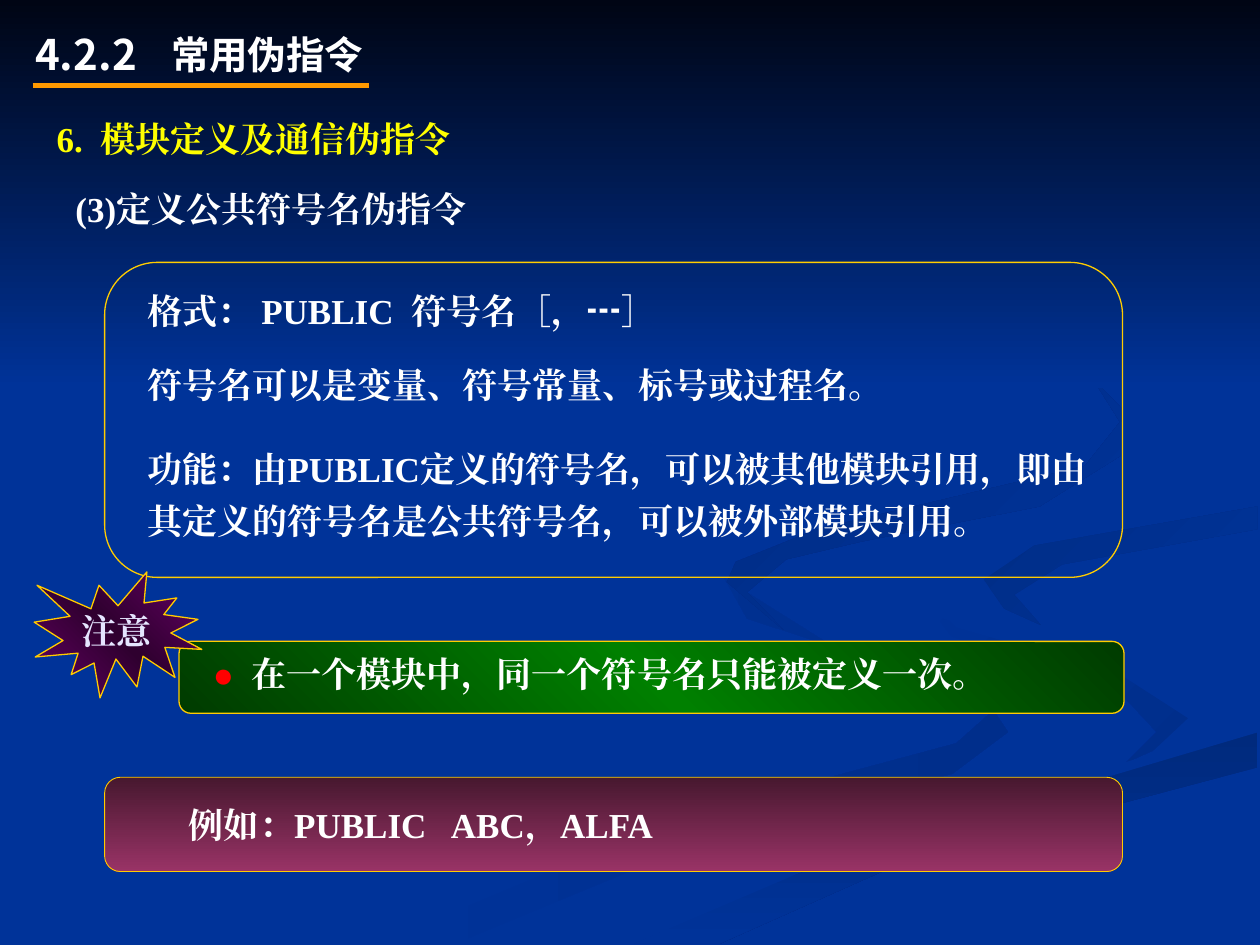
from copy import deepcopy
from dataclasses import dataclass

from lxml.etree import SubElement
from pptx import Presentation
from pptx.dml.color import RGBColor
from pptx.enum.shapes import MSO_CONNECTOR as Connector, MSO_SHAPE as Preset
from pptx.enum.text import MSO_ANCHOR as Anchor, PP_ALIGN as Align
from pptx.oxml.ns import qn
from pptx.util import Cm, Pt

COLORS = {
    "background": "003399", "night": "000514", "orange": "FF9900", "gold": "FFCC00",
    "white": "FFFFFF", "yellow": "FFFF00", "red": "FF0000", "lavender": "E5E5FF",
    "wine": "47182F", "rose": "993366", "forest": "003B00", "green": "008000",
    "purple": "660066", "plum": "2F002F",
    "shade1": "002E8B", "shade2": "002A7D", "shade3": "002D86", "shade4": "002B82",
}
SERIF, SANS = "Times New Roman", "Noto Sans CJK SC"
CURVE_UNIT = Cm(2.54) / 100


@dataclass
class Curve:
    points: list[tuple[int, int]]
    colors: list[str]
    angle: int = 0


@dataclass
class Panel:
    preset: Preset
    box: tuple[float, float, float, float]
    colors: list[str]
    angle: int = 0
    line_width: float = 0.75


@dataclass
class Span:
    text: str
    color: str = "white"


@dataclass
class Line:
    spans: list[Span]
    space_before: float = 0
    spacing: float = 1


@dataclass
class Label:
    box: tuple[float, float, float, float]
    lines: list[Line]
    size: float = 20
    font: str = SERIF
    anchor: Anchor = Anchor.TOP


BACKGROUND_CURVES = [
    Curve([(781, 553), (661, 513), (575, 459), (593, 491), (728, 535), (786, 566),
           (759, 590), (539, 649), (300, 749), (361, 749), (564, 665), (756, 614),
           (800, 581)], ["background", "shade1"]),
    Curve([(943, 570), (888, 535), (745, 490), (724, 464), (755, 505), (892, 553),
           (918, 581), (894, 605), (937, 586)], ["background", "shade1"], 45),
    Curve([(503, 749), (571, 749), (722, 682), (998, 609), (998, 581), (764, 647),
           (599, 706)], ["shade2", "background"], 90),
    Curve([(725, 464), (759, 498), (889, 535), (943, 570), (911, 600), (663, 668),
           (477, 749), (503, 749), (662, 681), (999, 581), (999, 538), (866, 509),
           (781, 463), (822, 434), (999, 402), (999, 387), (770, 427)], ["background"]),
    Curve([(781, 460), (797, 483), (826, 496), (805, 472), (843, 448), (998, 420),
           (998, 402), (821, 433)], ["shade3", "background"], 45),
    Curve([(683, 430), (825, 402), (889, 362), (890, 324), (843, 275), (762, 233),
           (862, 292), (889, 335), (861, 370), (649, 420), (584, 446), (577, 462),
           (622, 500), (593, 470), (624, 444)], ["shade4", "background"], 45),
    Curve([(0, 0), (0, 308), (1000, 308), (1000, 0)], ["night", "background"], 90),
]

PANELS = [
    Panel(Preset.ROUNDED_RECTANGLE, (2.11, 15.67, 20.52, 1.9), ["wine", "rose"], 90, 0.5),
    Panel(Preset.FLOWCHART_ALTERNATE_PROCESS, (2.11, 5.29, 20.52, 6.35), []),
    Panel(Preset.ROUNDED_RECTANGLE, (3.61, 12.93, 19.05, 1.45),
          ["forest", "green", "forest"], 315),
]
NOTICE_BURST = Panel(Preset.EXPLOSION1, (0.69, 11.53, 3.38, 2.54),
                     ["purple", "plum", "purple"], 315)

LABELS = [
    Label((0.46, 0.46, 2.74, 1.27), [Line([Span("4.2.2")])], 24, SANS),
    Label((3.2, 0.46, 5.51, 1.27), [Line([Span("常用伪指令")])], 22, SANS, Anchor.MIDDLE),
    Label((0.89, 2.26, 8.76, 1.07), [Line([Span("6.  模块定义及通信伪指令", "yellow")])],
          anchor=Anchor.MIDDLE),
    Label((1.27, 3.66, 8.97, 1.07), [Line([Span("(3)定义公共符号名伪指令")])],
          anchor=Anchor.MIDDLE),
    Label((2.72, 5.72, 19.74, 5.26), [
        Line([Span("格式： PUBLIC  符号名［，┅］")]),
        Line([Span("符号名可以是变量、符号常量、标号或过程名。")], 18),
        Line([Span("功能：由PUBLIC定义的符号名，可以被其他模块引用，"
                   "即由其定义的符号名是公共符号名，可以被外部模块引用。")], 18, 1.25),
    ]),
    Label((4.04, 13.03, 18.16, 1.12), [
        Line([Span("●  ", "red"), Span("在一个模块中，同一个符号名只能被定义一次。")])]),
    Label((3.56, 16.08, 10.46, 1.12), [Line([Span("例如：PUBLIC   ABC，ALFA")])]),
]


def rgb(name: str) -> RGBColor:
    return RGBColor.from_string(COLORS[name])


def paint(shape, colors: list[str], angle: int) -> None:
    """Fill with nothing, one colour, or an even gradient turned clockwise by angle."""
    shape.shadow.inherit = False
    fill = shape.fill
    if not colors:
        fill.background()
    elif len(colors) == 1:
        fill.solid()
        fill.fore_color.rgb = rgb(colors[0])
    else:
        fill.gradient()
        fill.gradient_angle = (360 - angle) % 360
        stop_list = next(shape._element.spPr.iter(qn("a:gsLst")))
        for _ in colors[2:]:
            stop_list.append(deepcopy(stop_list[0]))
        for index, (stop, color) in enumerate(zip(fill.gradient_stops, colors)):
            stop.color.rgb = rgb(color)
            stop.position = index / (len(colors) - 1)


def add_curve(slide, curve: Curve) -> None:
    builder = slide.shapes.build_freeform(*curve.points[0], scale=CURVE_UNIT)
    builder.add_line_segments(curve.points[1:], close=True)
    shape = builder.convert_to_shape()
    paint(shape, curve.colors, curve.angle)
    shape.line.fill.background()


def add_panel(slide, panel: Panel):
    shape = slide.shapes.add_shape(panel.preset, *map(Cm, panel.box))
    paint(shape, panel.colors, panel.angle)
    shape.line.color.rgb = rgb("gold")
    shape.line.width = Pt(panel.line_width)
    return shape


def add_span(paragraph, span: Span, size: float, font: str) -> None:
    run = paragraph.add_run()
    run.text = span.text
    run.font.size, run.font.bold, run.font.name = Pt(size), True, font
    run.font.color.rgb = rgb(span.color)
    SubElement(run._r.get_or_add_rPr(), qn("a:ea"), typeface=font)


def add_label(slide, label: Label) -> None:
    frame = slide.shapes.add_textbox(*map(Cm, label.box)).text_frame
    frame.word_wrap = True
    frame.vertical_anchor = label.anchor
    for index, line in enumerate(label.lines):
        paragraph = frame.add_paragraph() if index else frame.paragraphs[0]
        paragraph.line_spacing = line.spacing
        if index:
            paragraph.space_before = Pt(line.space_before)
        for span in line.spans:
            add_span(paragraph, span, label.size, label.font)


def add_heading_rule(slide) -> None:
    rule = slide.shapes.add_connector(Connector.STRAIGHT, Cm(0.66), Cm(1.73), Cm(7.44), Cm(1.73))
    rule.line.color.rgb = rgb("orange")
    rule.line.width = Pt(3)
    SubElement(rule._element.spPr, qn("a:effectLst"))


def add_notice(slide) -> None:
    frame = add_panel(slide, NOTICE_BURST).text_frame
    frame.word_wrap = False
    frame.vertical_anchor = Anchor.MIDDLE
    frame.paragraphs[0].alignment = Align.CENTER
    add_span(frame.paragraphs[0], Span("注意", "lavender"), 20, SERIF)


def main() -> None:
    presentation = Presentation()
    presentation.slide_width, presentation.slide_height = Cm(25.4), Cm(19.05)
    slide = presentation.slides.add_slide(presentation.slide_layouts[6])
    slide.background.fill.solid()
    slide.background.fill.fore_color.rgb = rgb("background")
    for curve in BACKGROUND_CURVES:
        add_curve(slide, curve)
    for panel in PANELS:
        add_panel(slide, panel)
    for label in LABELS:
        add_label(slide, label)
    add_heading_rule(slide)
    add_notice(slide)
    presentation.save("out.pptx")


if __name__ == "__main__":
    main()
